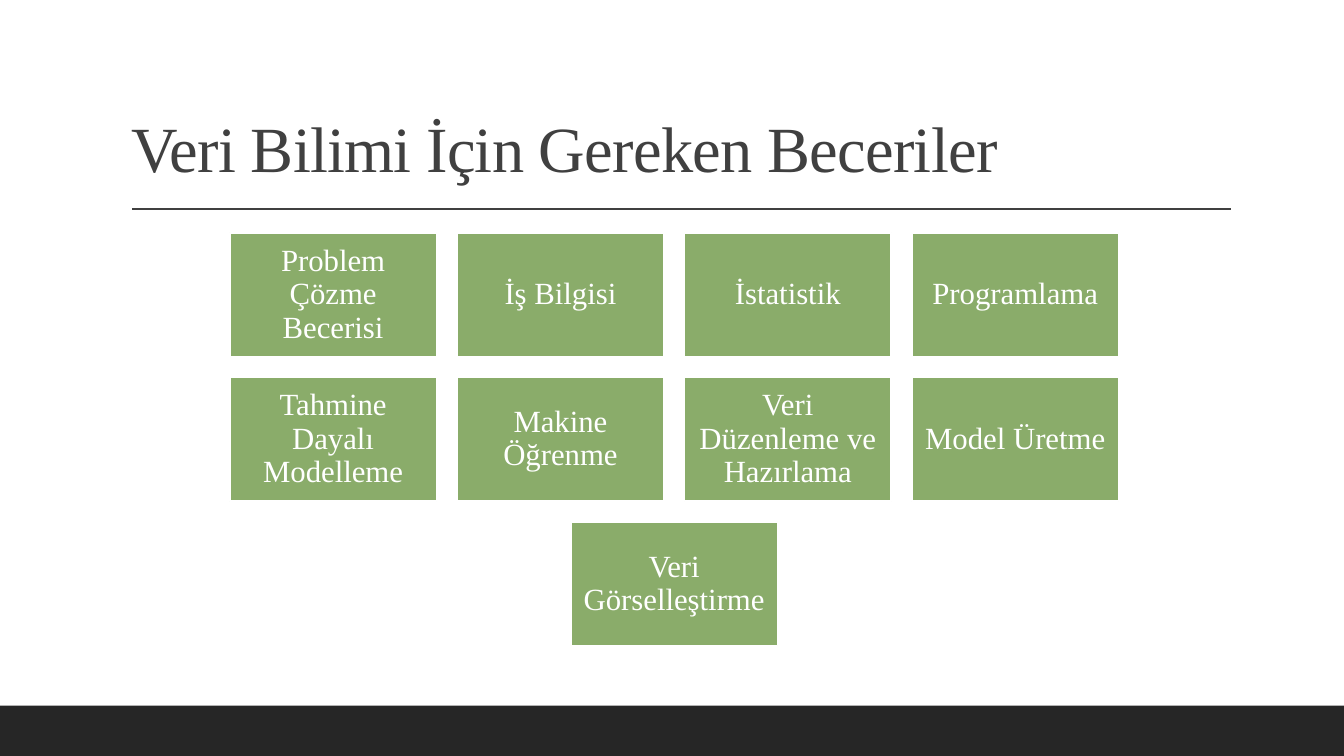
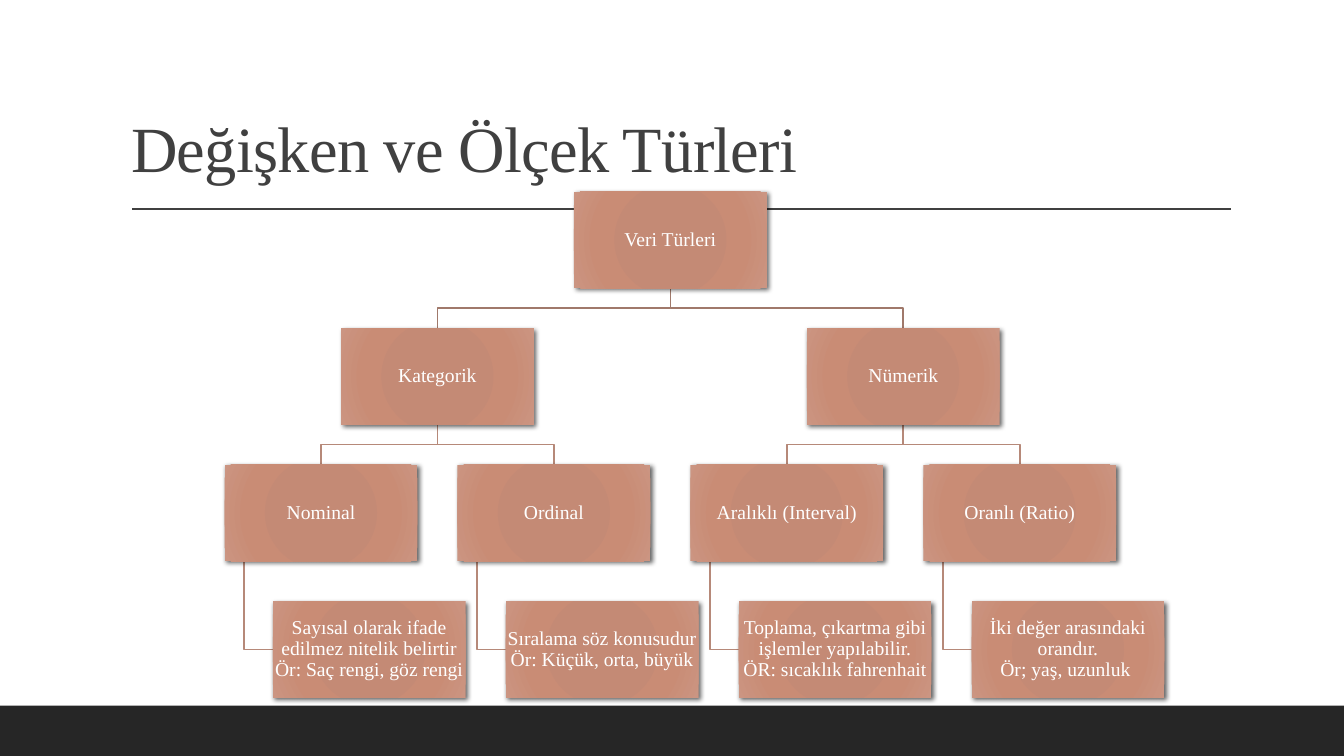
from dataclasses import dataclass
from itertools import count

from lxml.etree import SubElement
from pptx import Presentation
from pptx.dml.color import RGBColor
from pptx.enum.shapes import MSO_CONNECTOR, MSO_SHAPE
from pptx.enum.text import MSO_ANCHOR as Anchor, MSO_AUTO_SIZE, PP_ALIGN as Align
from pptx.oxml import parse_xml
from pptx.oxml.ns import nsdecls, qn
from pptx.util import Cm, Pt


@dataclass(frozen=True)
class Theme:
    font: str = "Times New Roman"
    ink: str = "404040"
    band: str = "262626"
    white: str = "FFFFFF"
    skill: str = "8AAC6A"
    main_link: str = "A0796B"
    sub_link: str = "B68979"
    node_stops: tuple = ((0, "C48873"), (34, "C48A75"), (70, "C98C75"), (100, "CB9582"))
    title_size: int = 46
    skill_size: int = 22
    node_size: int = 14
    line_width: float = 1.25
    line_spacing: float = 0.9


THEME = Theme()
SLIDE_W, SLIDE_H = 33.87, 19.05

SKILL_ROWS = [
    ["Problem Çözme Becerisi", "İş Bilgisi", "İstatistik", "Programlama"],
    ["Tahmine Dayalı Modelleme", "Makine Öğrenme", "Veri Düzenleme ve Hazırlama", "Model Üretme"],
    ["Veri Görselleştirme"],
]

# Each node is (label, children); a scale's children is its description
DATA_TYPES = ("Veri Türleri", [
    ("Kategorik", [
        ("Nominal", "Sayısal olarak ifade edilmez nitelik belirtir\vÖr: Saç rengi, göz rengi"),
        ("Ordinal", "Sıralama söz konusudur\vÖr: Küçük, orta, büyük"),
    ]),
    ("Nümerik", [
        ("Aralıklı (Interval)", "Toplama, çıkartma gibi işlemler yapılabilir.\vÖR: sıcaklık fahrenhait"),
        ("Oranlı (Ratio)", "İki değer arasındaki orandır.\vÖr; yaş, uzunluk "),
    ]),
])

# Geometry in centimetres
SKILL_W, SKILL_H, SKILL_GAP = 5.21, 3.12, 0.52
SKILL_LEFT, SKILL_TOP = 5.79, 5.87
NODE_W, NODE_H = 4.86, 2.43
TREE_TOP, LEVEL_STEP = 4.83, 3.44
SCALE_CENTRE, SCALE_STEP = 8.09, 5.87


def rgb(colour):
    return RGBColor.from_string(colour)


def write(frame, text, size, colour, align, anchor):
    frame.text = text
    frame.word_wrap = True
    frame.auto_size = MSO_AUTO_SIZE.NONE
    frame.vertical_anchor = anchor
    for paragraph in frame.paragraphs:
        paragraph.alignment = align
        paragraph.line_spacing = THEME.line_spacing
        for run in paragraph.runs:
            run.font.name = THEME.font
            run.font.size = Pt(size)
            run.font.color.rgb = rgb(colour)


def add_box(slide, left, top, width, height, fill):
    box = slide.shapes.add_shape(
        MSO_SHAPE.RECTANGLE, Cm(left), Cm(top), Cm(width), Cm(height))
    box.shadow.inherit = False
    box.fill.solid()
    box.fill.fore_color.rgb = rgb(fill)
    box.line.fill.background()
    return box


def label_box(box, text, size, inset):
    frame = box.text_frame
    frame.margin_left = frame.margin_right = Cm(inset)
    frame.margin_top = frame.margin_bottom = Cm(inset)
    write(frame, text, size, THEME.white, Align.CENTER, Anchor.MIDDLE)


def add_titled_slide(prs, text):
    slide = prs.slides.add_slide(prs.slide_layouts[5])
    # Bottom band and rule under the title
    add_box(slide, 0, 17.78, SLIDE_W, SLIDE_H - 17.78, THEME.band)
    rule = slide.shapes.add_connector(
        MSO_CONNECTOR.STRAIGHT, Cm(3.33), Cm(5.27), Cm(31.01), Cm(5.27))
    rule.line.color.rgb = rgb(THEME.ink)
    rule.line.width = Pt(1)
    SubElement(rule._element.spPr, qn("a:effectLst"))
    # Title
    title = slide.shapes.title
    title.left, title.top, title.width, title.height = Cm(3.05), Cm(0.79), Cm(27.94), Cm(4.04)
    write(title.text_frame, text, THEME.title_size, THEME.ink, Align.LEFT, Anchor.BOTTOM)
    for run in title.text_frame.paragraphs[0].runs:
        run._r.get_or_add_rPr().set("spc", "-50")
    return slide


def add_skill(slide, left, top, text):
    skill = add_box(slide, left, top, SKILL_W, SKILL_H, THEME.skill)
    skill.line.color.rgb = rgb(THEME.white)
    skill.line.width = Pt(THEME.line_width)
    label_box(skill, text, THEME.skill_size, 0.23)


def add_node(slide, left, top, text):
    node = add_box(slide, left, top, NODE_W, NODE_H, THEME.node_stops[0][1])
    properties = node._element.spPr
    # Radial gradient
    stops = "".join(
        f'<a:gs pos="{position * 1000}"><a:srgbClr val="{colour}"/></a:gs>'
        for position, colour in THEME.node_stops)
    gradient = parse_xml(
        f'<a:gradFill {nsdecls("a")} rotWithShape="1"><a:gsLst>{stops}</a:gsLst>'
        '<a:path path="circle"><a:fillToRect l="100000" t="100000" r="100000" b="100000"/>'
        '</a:path></a:gradFill>')
    properties.replace(properties.find(qn("a:solidFill")), gradient)
    # Soft shadow to the lower right
    properties.find(qn("a:effectLst")).append(parse_xml(
        f'<a:outerShdw {nsdecls("a")} blurRad="{Pt(3.5)}" dist="{Pt(2)}" dir="2700000" '
        'algn="tl" rotWithShape="0"><a:srgbClr val="000000"><a:alpha val="60000"/>'
        '</a:srgbClr></a:outerShdw>'))
    label_box(node, text, THEME.node_size, 0.02)


def add_link(slide, points, colour):
    start, *rest = [(Cm(x), Cm(y)) for x, y in points]
    builder = slide.shapes.build_freeform(*start)
    builder.add_line_segments(rest, close=False)
    link = builder.convert_to_shape()
    link.shadow.inherit = False
    link.fill.background()
    link.line.color.rgb = rgb(colour)
    link.line.width = Pt(THEME.line_width)


def place_tree(tree, level, columns, nodes, links):
    """Collect nodes and links of a subtree and return its centre."""
    label, children = tree
    top = TREE_TOP + level * LEVEL_STEP
    bottom, next_top = top + NODE_H, top + LEVEL_STEP
    if isinstance(children, str):
        # A scale with its description hanging from the left
        centre = SCALE_CENTRE + next(columns) * SCALE_STEP
        left = centre - NODE_W / 2
        trunk, detail_left = left + NODE_W / 10, left + NODE_W / 4
        detail_middle = next_top + NODE_H / 2
        nodes.append((detail_left, next_top, children))
        links.append(([(trunk, bottom), (trunk, detail_middle),
                       (detail_left, detail_middle)], THEME.sub_link))
    else:
        # A parent centred over its branches
        centres = [place_tree(child, level + 1, columns, nodes, links) for child in children]
        centre = sum(centres) / len(centres)
        bend = (bottom + next_top) / 2
        colour = THEME.sub_link if level else THEME.main_link
        for branch in centres:
            links.append(([(centre, bottom), (centre, bend),
                           (branch, bend), (branch, next_top)], colour))
    nodes.append((centre - NODE_W / 2, top, label))
    return centre


def build_skills(prs):
    slide = add_titled_slide(prs, "Veri Bilimi İçin Gereken Beceriler")
    step_x, step_y = SKILL_W + SKILL_GAP, SKILL_H + SKILL_GAP
    for row, skills in enumerate(SKILL_ROWS):
        # Short rows are centred under the full ones
        indent = (len(SKILL_ROWS[0]) - len(skills)) * step_x / 2
        for column, skill in enumerate(skills):
            add_skill(slide, SKILL_LEFT + indent + column * step_x,
                      SKILL_TOP + row * step_y, skill)


def build_data_types(prs):
    slide = add_titled_slide(prs, "Değişken ve Ölçek Türleri")
    nodes, links = [], []
    place_tree(DATA_TYPES, 0, count(), nodes, links)
    for points, colour in links:
        add_link(slide, points, colour)
    for left, top, text in nodes:
        add_node(slide, left, top, text)


def main():
    prs = Presentation()
    prs.slide_width, prs.slide_height = Cm(SLIDE_W), Cm(SLIDE_H)
    build_skills(prs)
    build_data_types(prs)
    prs.save("out.pptx")


if __name__ == "__main__":
    main()
